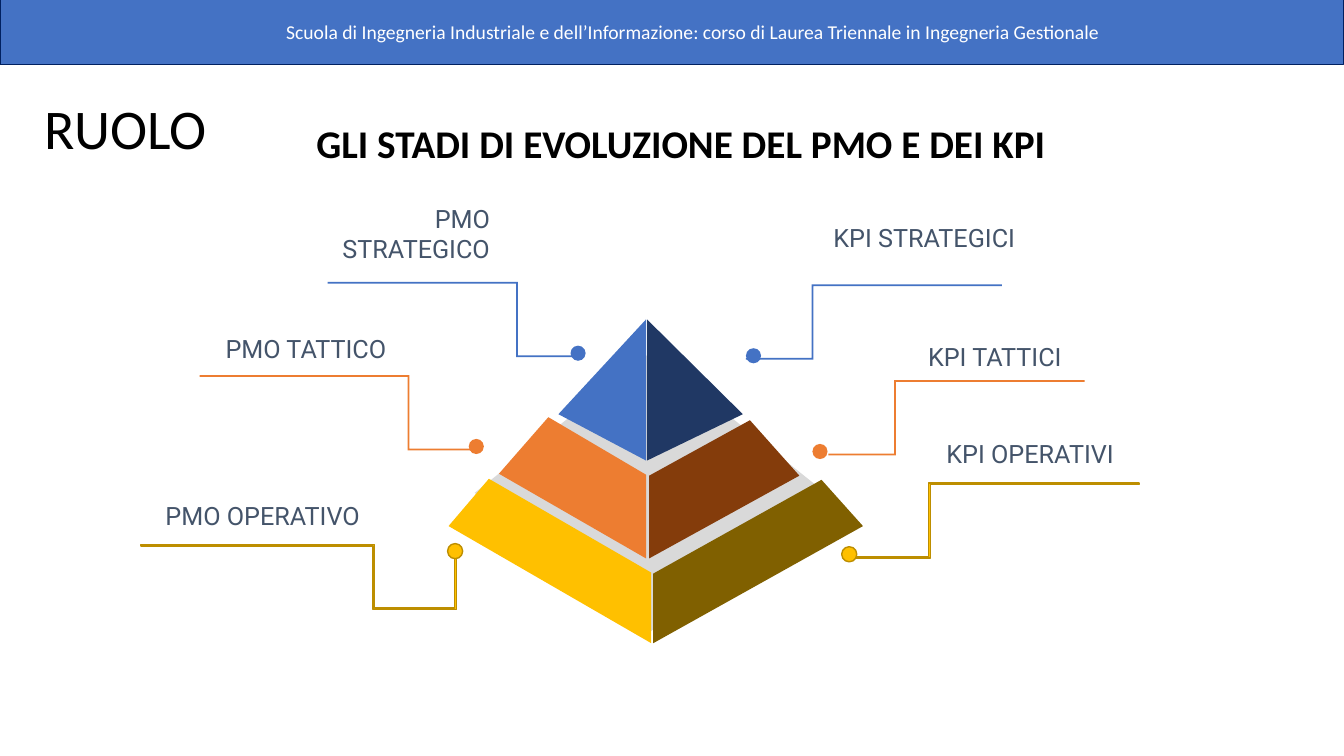
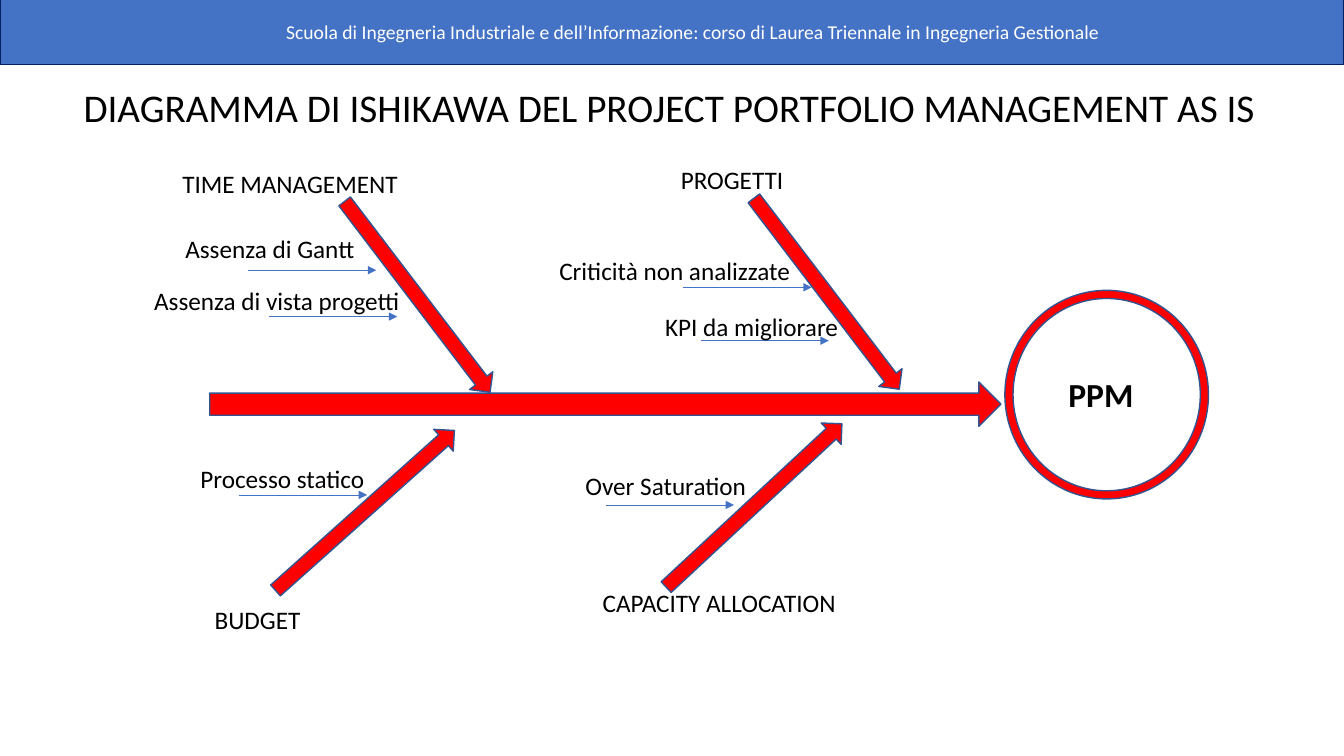
from dataclasses import dataclass

from lxml import etree
from pptx import Presentation
from pptx.dml.color import RGBColor
from pptx.enum.shapes import MSO_CONNECTOR, MSO_SHAPE
from pptx.enum.text import MSO_AUTO_SIZE, PP_ALIGN
from pptx.oxml.ns import qn
from pptx.util import Pt

RECTANGLE, OVAL = MSO_SHAPE.RECTANGLE, MSO_SHAPE.OVAL
ARROW, DONUT = MSO_SHAPE.RIGHT_ARROW, MSO_SHAPE.DONUT
STRAIGHT = MSO_CONNECTOR.STRAIGHT
FIT_TEXT = MSO_AUTO_SIZE.SHAPE_TO_FIT_TEXT
LEFT, RIGHT = PP_ALIGN.LEFT, PP_ALIGN.RIGHT

BLUE, ORANGE, YELLOW, RED = "4472C4", "ED7D31", "FFC000", "FF0000"
DARK_BLUE, DARK_ORANGE, DARK_YELLOW = "203864", "843C0B", "806000"
NAVY, GOLD, STEEL, SLATE = "002060", "BD8E00", "325491", "44546A"
GREY, BLACK, WHITE = "D9D9D9", "000000", "FFFFFF"

BANNER_TEXT = ("Scuola di Ingegneria Industriale e dell’Informazione: "
               "corso di Laurea Triennale in Ingegneria Gestionale")

BODY = {"name": "Calibri", "size": 18, "color": BLACK, "bold": False}
BANNER = BODY | {"size": 14, "color": WHITE}
TITLE = BODY | {"size": 28}
SUBTITLE = TITLE | {"bold": True}
SECTION = BODY | {"size": 40}
EFFECT = BODY | {"size": 24, "bold": True}
CALLOUT = BODY | {"name": "Roboto", "color": SLATE}

SHELF_SHARE = 0.74
RIBBON = 1.3
DOT = 10.8
BONE_SIZE = (171.4, 20.9)
CAUSE_LENGTH = 91.6

PYRAMID_FACES = [
    (GREY, [(269.3, 123.9), (144, 223.2), (18.7, 123.9), (144, 23.8)]),
    (DARK_YELLOW, [(296, 147.6), (146.2, 231.2), (146.2, 181.5), (266.4, 114.5)]),
    (YELLOW, [(144.7, 180.8), (144.7, 231.2), (0, 147.6), (28.8, 113.8)]),
    (DARK_ORANGE, [(250.6, 111.6), (143.3, 170.7), (143.3, 111.6), (215.3, 72)]),
    (ORANGE, [(141.1, 110.9), (141.1, 170.7), (36, 110.2), (71.3, 69.8)]),
    (DARK_BLUE, [(210.2, 67.7), (141.8, 100.8), (141.8, 0)]),
    (BLUE, [(141.1, 0), (141.1, 100.8), (78.5, 67.7)]),
]


@dataclass
class Box:
    left: float
    top: float
    width: float
    height: float

    def inner(self, left, top, width=0, height=0):
        return Box(self.left + left, self.top + top, width, height)

    def points(self):
        return [Pt(v) for v in (self.left, self.top, self.width, self.height)]


@dataclass
class Callout:
    """Label and elbow; a negative reach runs leftwards to the dot."""
    text: str
    label: tuple
    align: PP_ALIGN
    start: tuple
    reach: float
    dot_shift: float
    fill: str
    line: str | None = None
    drop: float = 52.5
    rise: float = 0


@dataclass
class Bone:
    category: str
    label: tuple
    arrow: tuple
    angle: float
    causes: list


CALLOUTS = [
    Callout("PMO STRATEGICO", (125.3, 1.8, 141.8), RIGHT,
            (144, 62), 182.9, -4, BLUE),
    Callout("KPI STRATEGICI", (498.2, 15.5, 146), LEFT,
            (625.7, 63.8), -182.9, 5.4, BLUE),
    Callout("PMO TATTICO", (52.6, 94.7, 140.4), RIGHT,
            (52.6, 128.6), 201.6, -4, ORANGE),
    Callout("KPI TATTICI", (535, 100.5, 140.4), RIGHT,
            (684.7, 132.2), -182.9, -6.1, ORANGE),
    Callout("PMO OPERATIVO", (8.6, 213.5, 165.6), RIGHT,
            (10.8, 249.5), 224.6, -0.3, YELLOW, GOLD, 45.4, 39),
    Callout("KPI OPERATIVI", (578.9, 169.6, 145.4), LEFT,
            (723.6, 205.6), -202.3, -4.7, YELLOW, GOLD),
]

# Each cause: text, its place and width, start of its arrow
BONES = [
    Bone("TIME MANAGEMENT", (23.1, 6.6, 174.2), (112.4, 91.6), 52.7, [
        ("Assenza di Gantt", (25.3, 53.4, 136.8), (77.1, 83)),
        ("Assenza di vista progetti", (3, 90.2, 192.2), (92.2, 116.1))]),
    Bone("PROGETTI", (379.2, 3.8, 88.2), (404.7, 89.4), 52.7, [
        ("Criticità non analizzate", (292.4, 68.6, 181.4), (388.2, 95.2)),
        ("KPI da migliorare", (368, 108.9, 139.7), (400.4, 133.4))]),
    Bone("BUDGET", (46.2, 318.4, 76.3), (75, 244.2), 318.2, [
        ("Processo statico", (36.1, 217.6, 132.5), (70.6, 243.5))]),
    Bone("CAPACITY ALLOCATION", (323.4, 306.2, 182.9), (352.9, 240.6), 317.1, [
        ("Over Saturation", (311.1, 222.6, 134.6), (332.7, 250.7))]),
]


def rgb(value):
    return RGBColor.from_string(value)


def paint(shape, fill, line=None, width=1):
    shape.shadow.inherit = False
    shape.fill.solid()
    shape.fill.fore_color.rgb = rgb(fill)
    if line:
        shape.line.color.rgb = rgb(line)
        shape.line.width = Pt(width)
    else:
        shape.line.fill.background()


def add_preset(page, kind, box, fill, line=None, width=1):
    shape = page.shapes.add_shape(kind, *box.points())
    paint(shape, fill, line, width)
    return shape


def add_outline(page, corners, fill, line=None):
    first, *rest = [(Pt(x), Pt(y)) for x, y in corners]
    builder = page.shapes.build_freeform(*first)
    builder.add_line_segments(rest, close=True)
    paint(builder.convert_to_shape(), fill, line)


def add_text(page, box, text, style, wrap=False, align=LEFT):
    box.height = style["size"] * 1.2 + 7.2
    frame = page.shapes.add_textbox(*box.points()).text_frame
    frame.word_wrap = wrap
    frame.auto_size = FIT_TEXT
    para = frame.paragraphs[0]
    para.alignment = align
    span = para.add_run()
    span.text = text
    values = style | {"size": Pt(style["size"])}
    span.font.color.rgb = rgb(values.pop("color"))
    for name, value in values.items():
        setattr(span.font, name, value)


def add_cause_arrow(page, box):
    left, top, width, _ = box.points()
    connector = page.shapes.add_connector(STRAIGHT, left, top, left + width, top)
    connector.line.color.rgb = rgb(BLUE)
    connector.line.width = Pt(0.5)
    properties = connector.element.spPr
    line = properties.find(qn("a:ln"))
    etree.SubElement(line, qn("a:tailEnd"), type="triangle")
    etree.SubElement(properties, qn("a:effectLst"))


def ribbon(path):
    """Outline of a thin band that follows a path of right-angled bends."""
    normals = []
    for (x1, y1), (x2, y2) in zip(path, path[1:]):
        length = abs(x2 - x1) + abs(y2 - y1)
        normals.append(((y1 - y2) / length, (x2 - x1) / length))
    before, after = [(0, 0)] + normals, normals + [(0, 0)]
    half = RIBBON / 2
    sides = [[(x + side * (a[0] + b[0]), y + side * (a[1] + b[1]))
              for (x, y), a, b in zip(path, before, after)]
             for side in (half, -half)]
    return sides[0] + sides[1][::-1]


def draw_banner(page, box):
    add_preset(page, RECTANGLE, box, BLUE, NAVY, 0.75)
    add_text(page, box.inner(197.3, 10.8, 617), BANNER_TEXT, BANNER, wrap=True)


def draw_pyramid(page, box):
    for fill, corners in PYRAMID_FACES:
        placed = [(box.left + x, box.top + y) for x, y in corners]
        add_outline(page, placed, fill)


def draw_callout(page, box, callout):
    start = box.inner(*callout.start)
    bend = start.left + callout.reach * SHELF_SHARE
    end = start.left + callout.reach
    bottom = start.top + callout.drop
    path = [(start.left, start.top), (bend, start.top), (bend, bottom), (end, bottom)]
    if callout.rise:
        path.append((end, bottom - callout.rise))
    add_outline(page, ribbon(path), callout.fill, callout.line)

    dot = Box(end + callout.dot_shift - DOT / 2,
              bottom - callout.rise - 2.2 - DOT / 2, DOT, DOT)
    add_preset(page, OVAL, dot, callout.fill, callout.line)
    add_text(page, box.inner(*callout.label), callout.text, CALLOUT,
             wrap=True, align=callout.align)


def draw_bone(page, box, bone):
    arrow = add_preset(page, ARROW, box.inner(*bone.arrow, *BONE_SIZE), RED, STEEL)
    arrow.rotation = bone.angle
    add_text(page, box.inner(*bone.label), bone.category, BODY)
    for text, place, start in bone.causes:
        add_cause_arrow(page, box.inner(*start, CAUSE_LENGTH))
        add_text(page, box.inner(*place), text, BODY)


def draw_fishbone(page, box):
    add_preset(page, ARROW, box.inner(49.8, 162.9, 565.2, 31.7), RED, STEEL)
    ring = add_preset(page, DONUT, box.inner(617.8, 97.4, 145.4, 149), RED, STEEL)
    ring.adjustments[0] = 0.04
    add_text(page, box.inner(656, 153.5, 80), "PPM", EFFECT, wrap=True)
    for bone in BONES:
        draw_bone(page, box, bone)


def build_stages(page, box):
    add_text(page, box.inner(24.5, 63.4, 131.8), "RUOLO", SECTION)
    add_text(page, box.inner(218.9, 81.4, 545.8),
             "GLI STADI DI EVOLUZIONE DEL PMO E DEI KPI", SUBTITLE)
    diagram = box.inner(90, 140, 740, 330)
    draw_pyramid(page, diagram.inner(230.4, 88.2, 296, 231.2))
    for callout in CALLOUTS:
        draw_callout(page, diagram, callout)


def build_ishikawa(page, box):
    add_text(page, box.inner(52.6, 56.2, 860.4),
             "DIAGRAMMA DI ISHIKAWA DEL PROJECT PORTFOLIO MANAGEMENT AS IS", TITLE)
    draw_fishbone(page, box.inner(100, 110, 764, 348))


def main():
    deck = Presentation()
    sheet = Box(0, 0, 960, 540)
    deck.slide_width, deck.slide_height = Pt(sheet.width), Pt(sheet.height)
    for build in (build_stages, build_ishikawa):
        page = deck.slides.add_slide(deck.slide_layouts[6])
        draw_banner(page, sheet.inner(0, 0, sheet.width, 46.1))
        build(page, sheet)
    deck.save("out.pptx")


if __name__ == "__main__":
    main()
